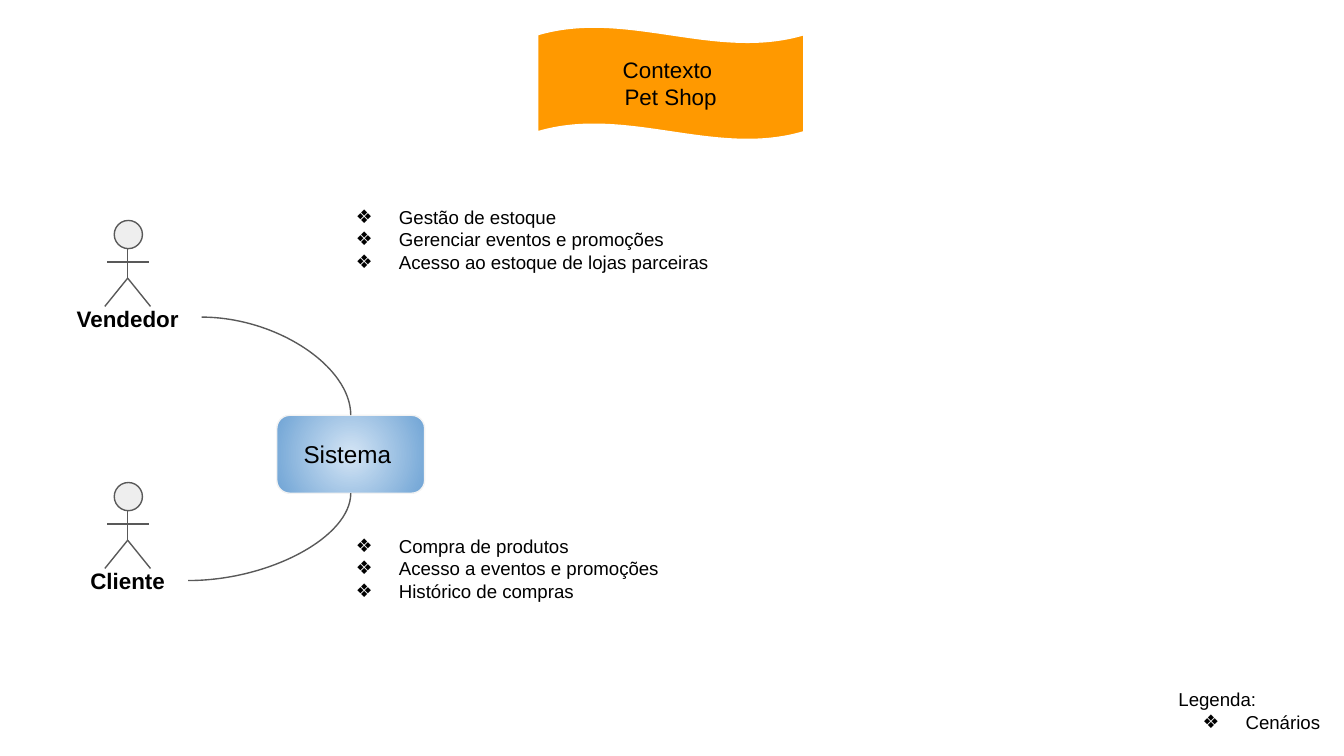
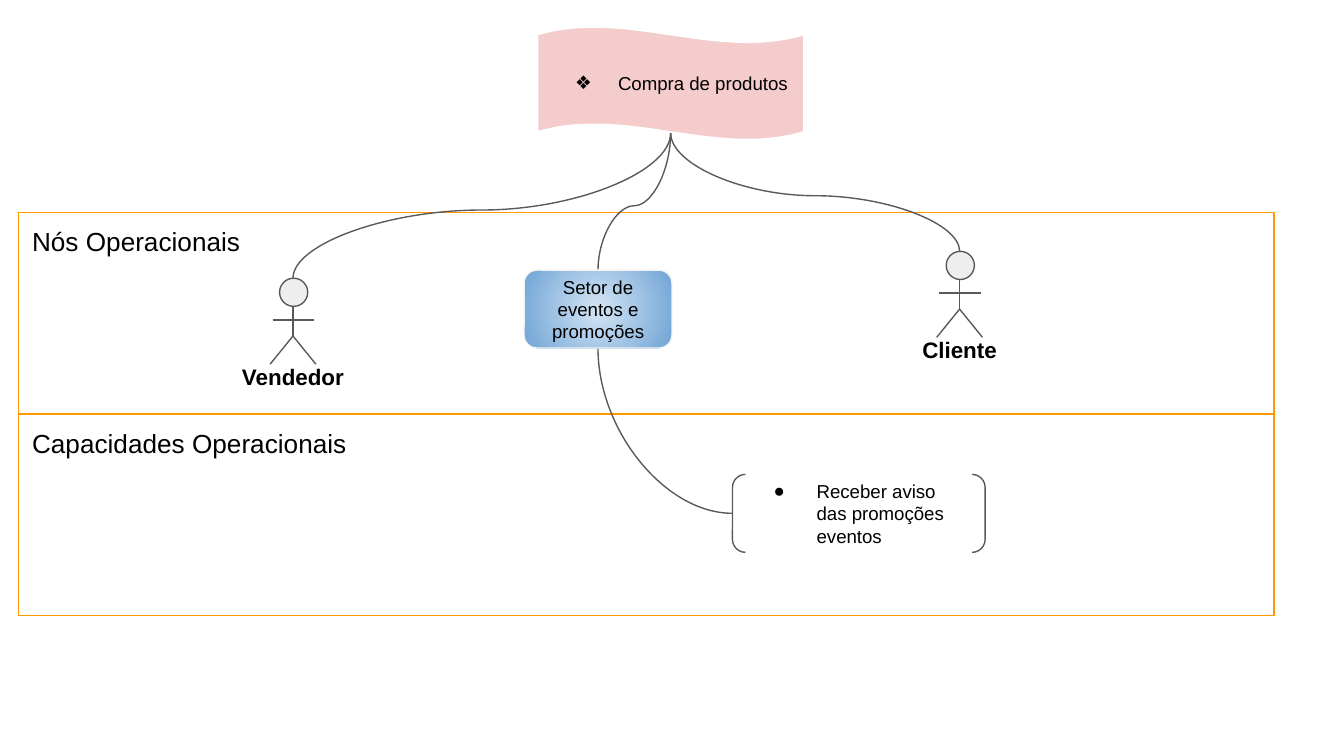
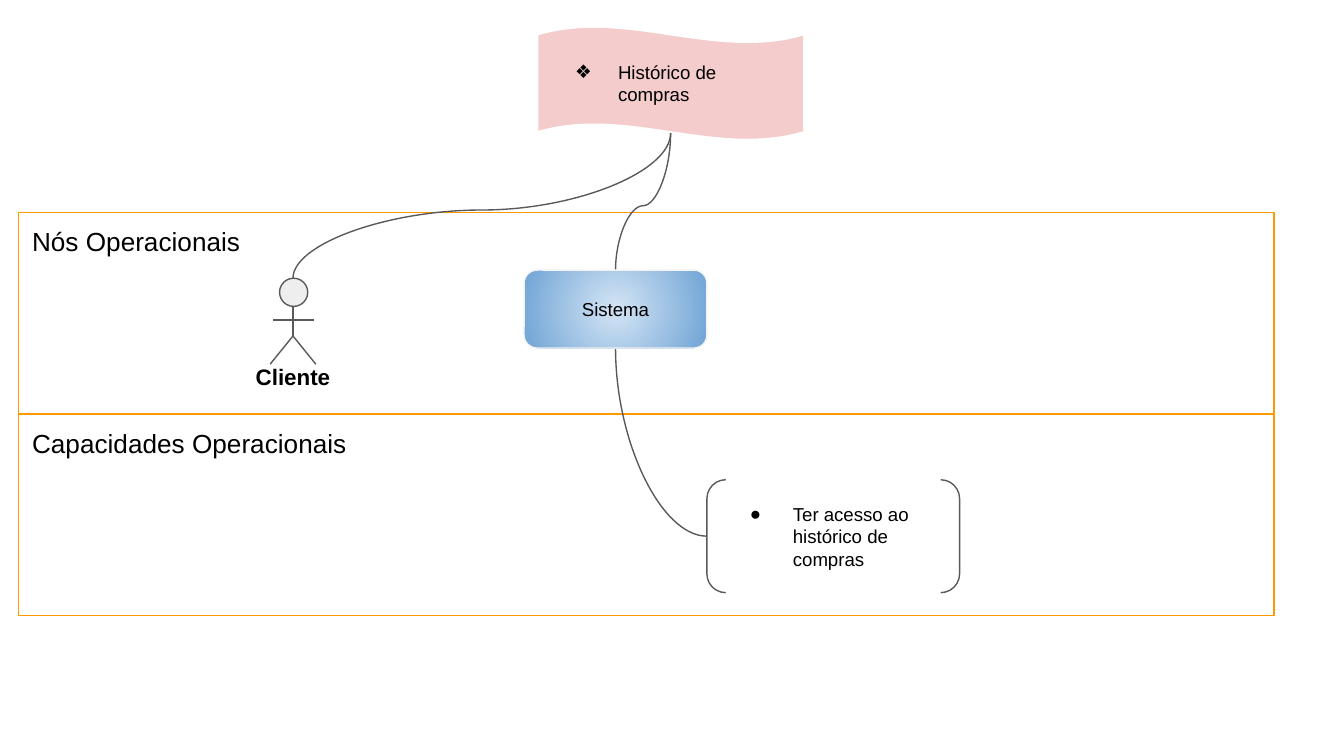
from lxml.etree import SubElement
from pptx import Presentation
from pptx.dml.color import RGBColor
from pptx.enum.shapes import MSO_CONNECTOR as LINE, MSO_SHAPE as SHAPE
from pptx.enum.text import MSO_ANCHOR as ANCHOR, PP_ALIGN as ALIGN
from pptx.oxml.ns import qn
from pptx.util import Inches, Pt

FONT = "Arial"
COLORS = {
    "text": "000000", "line": "595959", "head": "EEEEEE", "white": "FFFFFF",
    "orange": "FF9900", "pink": "F4CCCC", "box_edge": "F3F3F3",
    "box_center": "D4E5F5", "box_rim": "70A4D5",
}
BULLETS = "❖●"

# Content: a leading bullet mark makes a line a list item
CONTEXT = {
    "title": ["Contexto ", "Pet Shop"],
    "system": "Sistema ",
    "actors": [("Cliente", 0.95, 3.59, 0.9), ("Vendedor", 0.95, 1.64, 1.12)],
    "lists": [
        ((2.37, 1.43, 3.32, 1.01), ["❖ Gestão de estoque", "❖ Gerenciar eventos e promoções",
                                    "❖ Acesso ao estoque de lojas parceiras"]),
        ((2.37, 3.88, 3.32, 0.91), ["❖ Compra de produtos", "❖ Acesso a eventos e promoções",
                                    "❖ Histórico de compras"]),
        ((8.67, 5.02, 1.27, 0.52), ["Legenda:", "❖ Cenários"]),
    ],
}
BANDS = ["Nós Operacionais", "Capacidades Operacionais"]
SCENARIOS = [
    {
        "title": "❖ Compra de produtos",
        "actors": [("Vendedor", 2.18, 2.07, 1.12), ("Cliente", 7.14, 1.87, 0.9)],
        "node": ("Setor de eventos e promoções", 1.1),
        "capability": ("● Receber aviso das promoções eventos", (5.45, 3.53, 1.88, 0.58)),
    },
    {
        "title": "❖ Histórico de compras",
        "actors": [("Cliente", 2.18, 2.07, 1.12)],
        "node": ("Sistema", 1.36),
        "capability": ("● Ter acesso ao histórico de compras", (5.26, 3.57, 1.88, 0.84)),
    },
]

# Shared layout
FLAG = (4, 0.2, 1.98, 0.84)
FLAG_FOOT = (4.99, 0.99)
BAND_LEFT, BAND_TOP, BAND_W, BAND_H = 0.14, 1.58, 9.34, 1.5
NODE_LEFT, NODE_TOP, NODE_H = 3.9, 2.01, 0.58


def rgb(name):
    return RGBColor.from_string(COLORS[name])


def write(sp, lines, size=10, bold=False, align=ALIGN.LEFT, anchor=ANCHOR.TOP):
    tf = sp.text_frame
    tf.word_wrap = True
    tf.vertical_anchor = anchor
    tf.margin_left = tf.margin_right = tf.margin_top = tf.margin_bottom = Inches(0.1)
    for i, text in enumerate(lines):
        p = tf.add_paragraph() if i else tf.paragraphs[0]
        p.alignment = align
        if text[0] in BULLETS:
            add_bullet(p, text[0])
            text = text[2:]
        r = p.add_run()
        r.text = text
        r.font.name, r.font.size, r.font.bold = FONT, Pt(size), bold
        r.font.color.rgb = rgb("text")


def add_bullet(p, mark):
    pPr = p._p.get_or_add_pPr()
    pPr.set("marL", str(Inches(0.5)))
    pPr.set("indent", str(Inches(-0.32)))
    SubElement(SubElement(pPr, qn("a:buClr")), qn("a:srgbClr"), val=COLORS["text"])
    SubElement(pPr, qn("a:buFont"), typeface=FONT)
    SubElement(pPr, qn("a:buChar"), char=mark)


def add_shape(shapes, kind, box, fill=None, line="line"):
    sp = shapes.add_shape(kind, *map(Inches, box))
    sp.shadow.inherit = False
    if fill:
        sp.fill.solid()
        sp.fill.fore_color.rgb = rgb(fill)
    else:
        sp.fill.background()
    sp.line.color.rgb = rgb(line)
    sp.line.width = Pt(0.75)
    return sp


def add_text(shapes, box, lines, **fmt):
    write(shapes.add_textbox(*map(Inches, box)), lines, **fmt)


def add_line(shapes, start, end, kind=LINE.STRAIGHT):
    c = shapes.add_connector(kind, *map(Inches, (*start, *end)))
    c.line.color.rgb = rgb("line")
    c.line.width = Pt(0.75)
    SubElement(c._element.spPr, qn("a:effectLst"))
    return c


def add_arc(shapes, start, end):
    """Quarter curve that leaves sideways and arrives vertically."""
    c = add_line(shapes, start, end, LINE.CURVE)
    c._element.spPr.find(qn("a:prstGeom")).set("prst", "curvedConnector2")


def add_s_curve(shapes, start, end, bend=0.47):
    """Curve that rises from start to end: a sideways curve turned by 270 degrees."""
    (x1, y1), (x2, y2) = start, end
    cx, cy = (x1 + x2) / 2, (y1 + y2) / 2
    half_w, half_h = (y1 - y2) / 2, (x2 - x1) / 2
    c = add_line(shapes, (cx - half_w, cy - half_h), (cx + half_w, cy + half_h), LINE.CURVE)
    spPr = c._element.spPr
    spPr.find(qn("a:xfrm")).set("rot", str(270 * 60000))
    guides = spPr.find(qn("a:prstGeom")).find(qn("a:avLst"))
    SubElement(guides, qn("a:gd"), name="adj1", fmla=f"val {round(bend * 100000)}")


def add_flag(shapes, lines, fill, **fmt):
    sp = add_shape(shapes, SHAPE.WAVE, FLAG, fill, "white")
    sp.adjustments[0] = 0.07
    write(sp, lines, anchor=ANCHOR.MIDDLE, **fmt)


def add_node(shapes, box, text, size=10):
    sp = add_shape(shapes, SHAPE.ROUNDED_RECTANGLE, box, line="box_edge")
    sp.fill.gradient()
    for stop, name, pos in zip(sp.fill.gradient_stops, ("box_center", "box_rim"), (0, 1)):
        stop.color.rgb = rgb(name)
        stop.position = pos
    # Radial instead of linear
    grad = sp._element.spPr.find(qn("a:gradFill"))
    grad.remove(grad.find(qn("a:lin")))
    radial = SubElement(grad, qn("a:path"), {"path": "circle"})
    SubElement(radial, qn("a:fillToRect"), dict.fromkeys("ltrb", "50000"))
    write(sp, [text], size=size, align=ALIGN.CENTER, anchor=ANCHOR.MIDDLE)


def add_actor(shapes, name, x, y, label_w):
    """Stick figure with its head's top at (x, y)."""
    group = shapes.add_group_shape().shapes
    add_shape(group, SHAPE.FLOWCHART_CONNECTOR, (x - 0.1, y, 0.21, 0.21), "head")
    hip = (x, y + 0.43)
    add_line(group, (x, y + 0.21), hip)
    add_line(group, (x - 0.15, y + 0.31), (x + 0.16, y + 0.31))
    for side in (-0.17, 0.17):
        add_line(group, hip, (x + side, y + 0.64))
    add_text(group, (x - label_w / 2, y + 0.53, label_w, 0.38), [name],
             size=12, bold=True, align=ALIGN.CENTER)


def build_context(shapes):
    add_flag(shapes, CONTEXT["title"], "orange", size=12, align=ALIGN.CENTER)
    add_node(shapes, (2.06, 3.09, 1.1, NODE_H), CONTEXT["system"], size=13)
    for actor in CONTEXT["actors"]:
        add_actor(shapes, *actor)
    add_arc(shapes, (1.5, 2.36), (2.61, 3.09))
    add_arc(shapes, (1.4, 4.32), (2.61, 3.67))
    for box, lines in CONTEXT["lists"]:
        add_text(shapes, box, lines)


def build_scenario(shapes, scenario):
    for i, label in enumerate(BANDS):
        band = add_shape(shapes, SHAPE.RECTANGLE,
                         (BAND_LEFT, BAND_TOP + i * BAND_H, BAND_W, BAND_H), line="orange")
        write(band, [label], size=14)
    add_flag(shapes, [scenario["title"]], "pink")

    # Operational nodes hang from the flag
    for name, x, y, label_w in scenario["actors"]:
        add_actor(shapes, name, x, y, label_w)
        add_s_curve(shapes, (x, y), FLAG_FOOT)
    text, width = scenario["node"]
    node_x = NODE_LEFT + width / 2
    add_s_curve(shapes, (node_x, NODE_TOP), FLAG_FOOT)

    # Capability tied to the node above it
    label, box = scenario["capability"]
    add_arc(shapes, (box[0], box[1] + box[3] / 2), (node_x, NODE_TOP + NODE_H))
    write(add_shape(shapes, SHAPE.DOUBLE_BRACKET, box), [label], anchor=ANCHOR.MIDDLE)
    add_node(shapes, (NODE_LEFT, NODE_TOP, width, NODE_H), text)


def main():
    prs = Presentation()
    prs.slide_width = Inches(10)
    prs.slide_height = Inches(10 * 9 / 16)
    blank = prs.slide_layouts[6]
    build_context(prs.slides.add_slide(blank).shapes)
    for scenario in SCENARIOS:
        build_scenario(prs.slides.add_slide(blank).shapes, scenario)
    prs.save("out.pptx")


if __name__ == "__main__":
    main()
